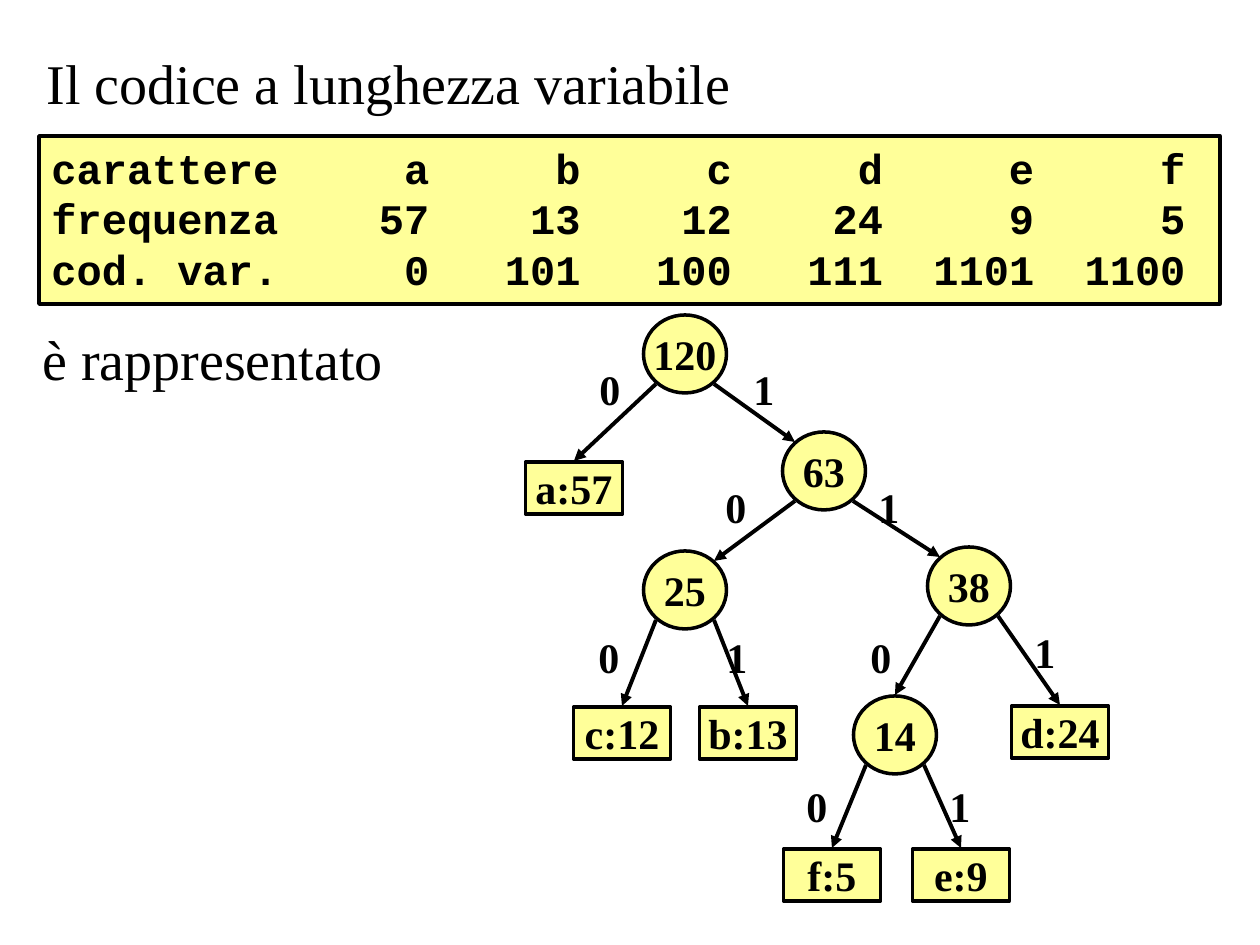
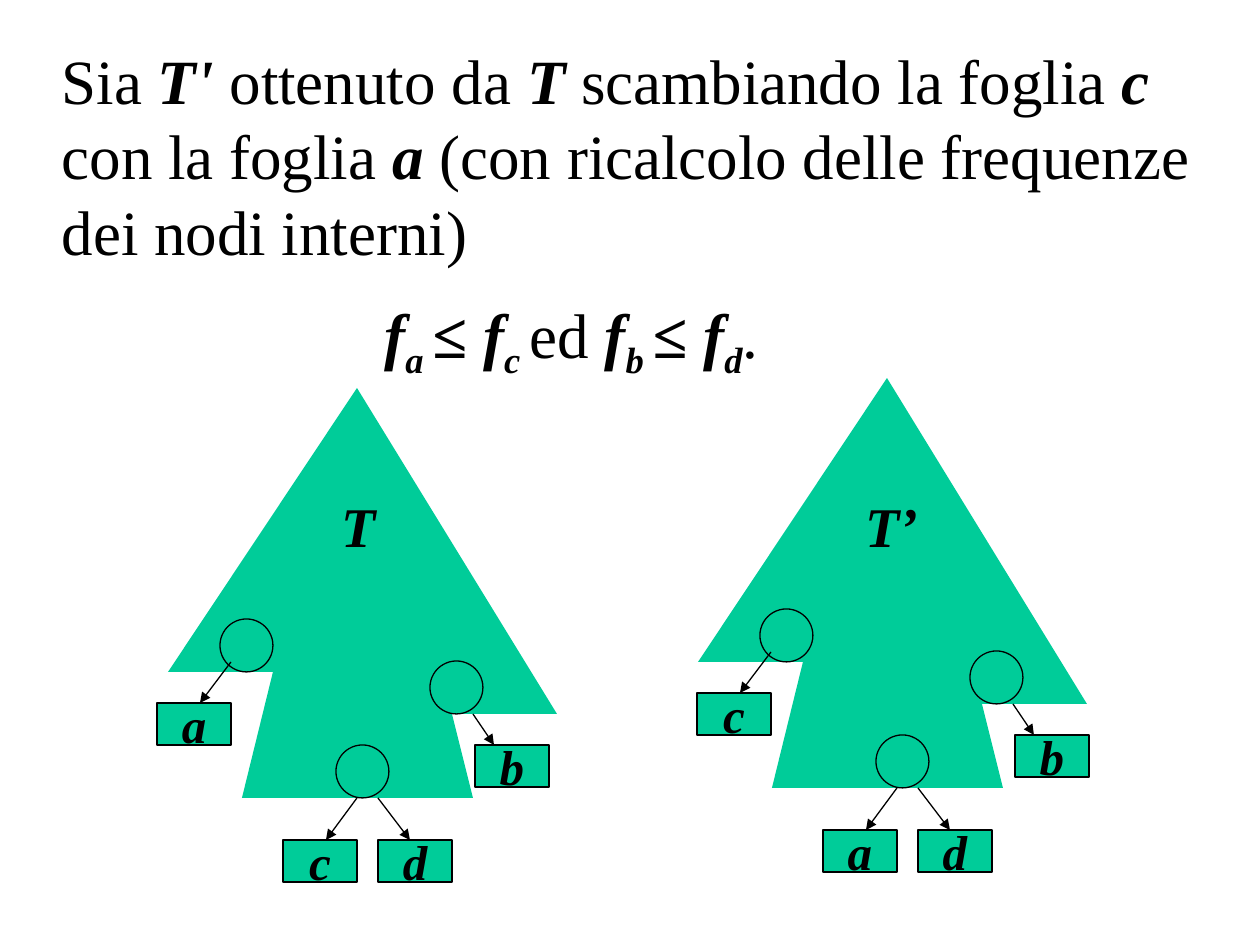
from lxml import etree
from pptx import Presentation
from pptx import util as u
from pptx.dml import color
from pptx.enum import shapes, text
from pptx.oxml import ns

SCALE = 914400 // 126  # EMU in one pixel
COLORS = {"ink": "000000", "paper": "FFFFFF", "node": "FFFF99", "tree": "00CC99"}
SERIF, MONO = "Times New Roman", "Courier New"
TITLE_ONLY = 5
OVAL, RECTANGLE = shapes.MSO_SHAPE.OVAL, shapes.MSO_SHAPE.RECTANGLE
MIDDLE, TOP = text.MSO_ANCHOR.MIDDLE, text.MSO_ANCHOR.TOP


def rgb(name):
    """Look up a colour of the deck."""
    return color.RGBColor.from_string(COLORS[name])


def px(*lengths):
    """Turn pixels into EMU."""
    return [u.Emu(round(length * SCALE)) for length in lengths]


def add_child(parent, tag, **attributes):
    """Append a drawing element with attributes."""
    return etree.SubElement(parent, ns.qn(tag), **attributes)


class Deck:
    """Holds the presentation, its style and the current slide."""

    def __init__(self):
        """Start an empty 10 by 7.5 inch presentation."""
        self.presentation = Presentation()
        self.presentation.slide_width = u.Inches(10)
        self.presentation.slide_height = u.Inches(7.5)
        self.slide = None

    def new_slide(self):
        """Add a slide on the paper colour and make it current."""
        layout = self.presentation.slide_layouts[TITLE_ONLY]
        self.slide = self.presentation.slides.add_slide(layout)
        fill = self.slide.background.fill
        fill.solid()
        fill.fore_color.rgb = rgb("paper")

    def add_runs(self, paragraph, runs, size, font=SERIF, align=text.PP_ALIGN.LEFT):
        """Add (text, flags) runs; flags: b bold, i italic, s subscript."""
        paragraph.alignment = align
        for words, flags in runs:
            run = paragraph.add_run()
            run.text = words
            run.font.name = font
            run.font.size = u.Pt(size)
            run.font.bold = "b" in flags
            run.font.italic = "i" in flags
            run.font.color.rgb = rgb("ink")
            if "s" in flags:
                run.font._element.set("baseline", "-25000")

    def frame(self, shape, anchor, wrap=True, grow=False):
        """Set how the text lies in a shape."""
        frame = shape.text_frame
        size = text.MSO_AUTO_SIZE
        frame.auto_size = size.SHAPE_TO_FIT_TEXT if grow else size.NONE
        frame.word_wrap = wrap
        frame.vertical_anchor = anchor
        frame.margin_left = frame.margin_right = u.Inches(0.1)
        frame.margin_top = frame.margin_bottom = u.Inches(0.05)
        return frame

    def title(self, box, runs, size):
        """Fill the title placeholder, top left aligned."""
        shape = self.slide.shapes.title
        shape.left, shape.top, shape.width, shape.height = px(*box)
        frame = self.frame(shape, TOP, grow=True)
        self.add_runs(frame.paragraphs[0], runs, size)

    def textbox(self, box, runs, size, anchor=TOP, wrap=True, grow=False):
        """Add free text."""
        shape = self.slide.shapes.add_textbox(*px(*box))
        frame = self.frame(shape, anchor, wrap, grow)
        self.add_runs(frame.paragraphs[0], runs, size)

    def paint(self, shape, fill, width=None):
        """Give a shape a flat fill and an optional ink outline."""
        shape.shadow.inherit = False
        shape.fill.solid()
        shape.fill.fore_color.rgb = rgb(fill)
        if width:
            shape.line.color.rgb = rgb("ink")
            shape.line.width = u.Pt(width)
        else:
            shape.line.fill.background()

    def shape(self, kind, box, fill, width, label="", flags="b", size=24):
        """Add a preset shape with a centred label."""
        shape = self.slide.shapes.add_shape(kind, *px(*box))
        self.paint(shape, fill, width)
        if label:
            frame = self.frame(shape, MIDDLE, wrap=False)
            self.add_runs(frame.paragraphs[0], [(label, flags)], size,
                          align=text.PP_ALIGN.CENTER)
        return shape

    def tabbed_panel(self, box, rows, stops):
        """Add a panel of monospaced rows with right-aligned columns."""
        shape = self.shape(RECTANGLE, box, "node", 2)
        frame = self.frame(shape, TOP, grow=True)
        for index, row in enumerate(rows):
            paragraph = frame.add_paragraph() if index else frame.paragraphs[0]
            self.add_runs(paragraph, [("\t".join(row), "b")], 24, MONO)
            tabs = add_child(paragraph._p.get_or_add_pPr(), "a:tabLst")
            for stop in px(*stops):
                add_child(tabs, "a:tab", pos=str(stop), algn="r")

    def arrow(self, start, end, width):
        """Add a straight arrow."""
        line = self.slide.shapes.add_connector(
            shapes.MSO_CONNECTOR.STRAIGHT, *px(*start, *end))
        line.line.color.rgb = rgb("ink")
        line.line.width = u.Pt(width)
        add_child(line.line._get_or_add_ln(), "a:tailEnd", type="triangle")
        add_child(line._element.spPr, "a:effectLst")

    def outline(self, points, fill):
        """Add a closed filled polygon."""
        builder = self.slide.shapes.build_freeform(*points[0], scale=SCALE)
        builder.add_line_segments(points[1:], close=True)
        self.paint(builder.convert_to_shape(), fill)


# Centres of the code tree's nodes
INNER = {"120": (685, 354), "63": (824, 471), "25": (685, 590),
         "38": (969, 586), "14": (895, 735)}
LEAVES = {"a:57": (574, 488), "c:12": (622, 733), "b:13": (748, 733),
          "d:24": (1060, 732), "f:5": (832, 875), "e:9": (961, 875)}
# Parent, child, bit, place of the bit
EDGES = [("120", "a:57", "0", (587, 353)), ("120", "63", "1", (741, 353)),
         ("63", "25", "0", (713, 471)), ("63", "38", "1", (866, 471)),
         ("25", "c:12", "0", (586, 621)), ("25", "b:13", "1", (714, 621)),
         ("38", "14", "0", (858, 621)), ("38", "d:24", "1", (1022, 616)),
         ("14", "f:5", "0", (794, 770)), ("14", "e:9", "1", (937, 770))]
CIRCLE, LEAF = (83, 78), (97, 52)
CORNER = 29  # from a circle's centre to its diagonal point


def code_tree(deck):
    """Draw the variable-length code as a binary tree."""
    for kind, nodes, (width, height) in ((OVAL, INNER, CIRCLE),
                                         (RECTANGLE, LEAVES, LEAF)):
        for label, (x, y) in nodes.items():
            box = (x - width / 2, y - height / 2, width, height)
            deck.shape(kind, box, "node", 2, label)
    for parent, child, bit, place in EDGES:
        side = 1 if bit == "1" else -1
        x, y = INNER[parent]
        start = (x + side * CORNER, y + CORNER + 1)
        end_x, end_y = {**INNER, **LEAVES}[child]
        if child in LEAVES:
            end = (end_x, end_y - LEAF[1] / 2 - 1)
        elif abs(end_x - x) > 100:
            end = (end_x - side * CORNER, end_y - CORNER)
        else:
            end = (end_x, end_y - CIRCLE[1] / 2 - 1)
        deck.arrow(start, end, 2.25)
        deck.textbox((*place, 50, 72), [(bit, "b")], 24, MIDDLE, wrap=False)


TREE_OUTLINE = [(357, 388), (168, 672), (273, 672), (242, 798),
                (473, 798), (452, 714), (557, 714)]
TREE_CIRCLES = [(220, 619), (430, 661), (336, 745)]
TREE_LEAVES = [(157, 703), (283, 840), (378, 840), (475, 745)]
TREE_ARROWS = [((231, 662), (200, 703)), ((357, 798), (326, 840)),
               ((378, 798), (410, 840)), ((473, 714), (494, 745))]


def swap_tree(deck, name, name_box, leaves, outline_shift=0, shift=0, rise=0):
    """Draw a tree silhouette with its leaves, moved as a whole."""
    deck.outline([(x + outline_shift, y - rise) for x, y in TREE_OUTLINE], "tree")
    for (x, y), leaf in zip(TREE_LEAVES, leaves):
        deck.shape(RECTANGLE, (x + shift, y - rise, 74, 42), "tree", 0.75,
                   leaf, "bi", 28)
    for x, y in TREE_CIRCLES:
        deck.shape(OVAL, (x + shift, y - rise, 53, 53), "tree", 0.75)
    for ends in TREE_ARROWS:
        deck.arrow(*[(x + shift, y - rise) for x, y in ends], 0.75)
    deck.textbox(name_box, [(name, "bi")], 32, wrap=False, grow=True)


def code_slide(deck):
    """Build the slide on the variable-length code."""
    deck.new_slide()
    deck.title((34, 42, 1163, 79), [("Il codice a lunghezza variabile", "")], 32)
    rows = [("carattere", *"abcdef"),
            ("frequenza", "57", "13", "12", "24", "9", "5"),
            ("cod. var.", "0", "101", "100", "111", "1101", "1100")]
    deck.tabbed_panel((39, 136, 1181, 168), rows,
                      [378 + 151.2 * column for column in range(6)])
    deck.textbox((30, 314, 515, 89), [("è rappresentato", "")], 32, MIDDLE)
    code_tree(deck)


def swap_slide(deck):
    """Build the slide on swapping two leaves."""
    deck.new_slide()
    deck.title((49, 35, 1167, 242), [
        ("Sia ", ""), ("T' ", "bi"), ("ottenuto da ", ""), ("T", "bi"),
        (" scambiando la foglia ", ""), ("c", "bi"), (" con la foglia ", ""),
        ("a", "bi"), (" (con ricalcolo delle frequenze dei nodi interni)", "")], 36)
    deck.textbox((372, 289, 507, 89), [
        ("f", "bi"), ("a ", "bis"), ("≤ ", "b"), ("f", "bi"), ("c ", "bis"),
        ("ed ", ""), ("f", "bi"), ("b ", "bis"), ("≤ ", "b"), ("f", "bi"),
        ("d", "bis"), (".", "")], 36, grow=True)
    swap_tree(deck, "T", (329, 485, 60, 81), "acdb")
    swap_tree(deck, "T’", (853, 485, 78, 81), "cadb",
              outline_shift=530, shift=540, rise=10)


deck = Deck()
code_slide(deck)
swap_slide(deck)
deck.presentation.save("out.pptx")
